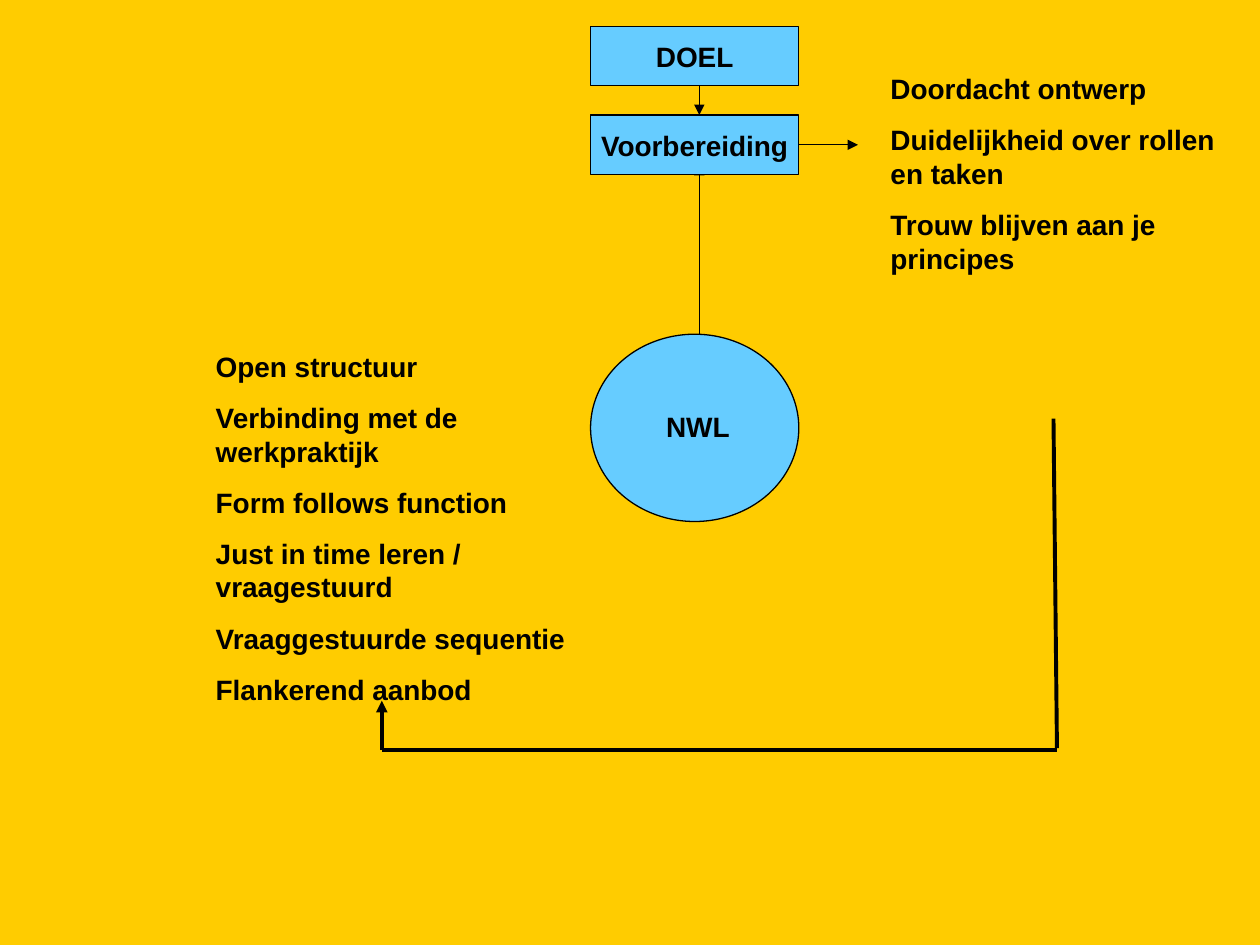
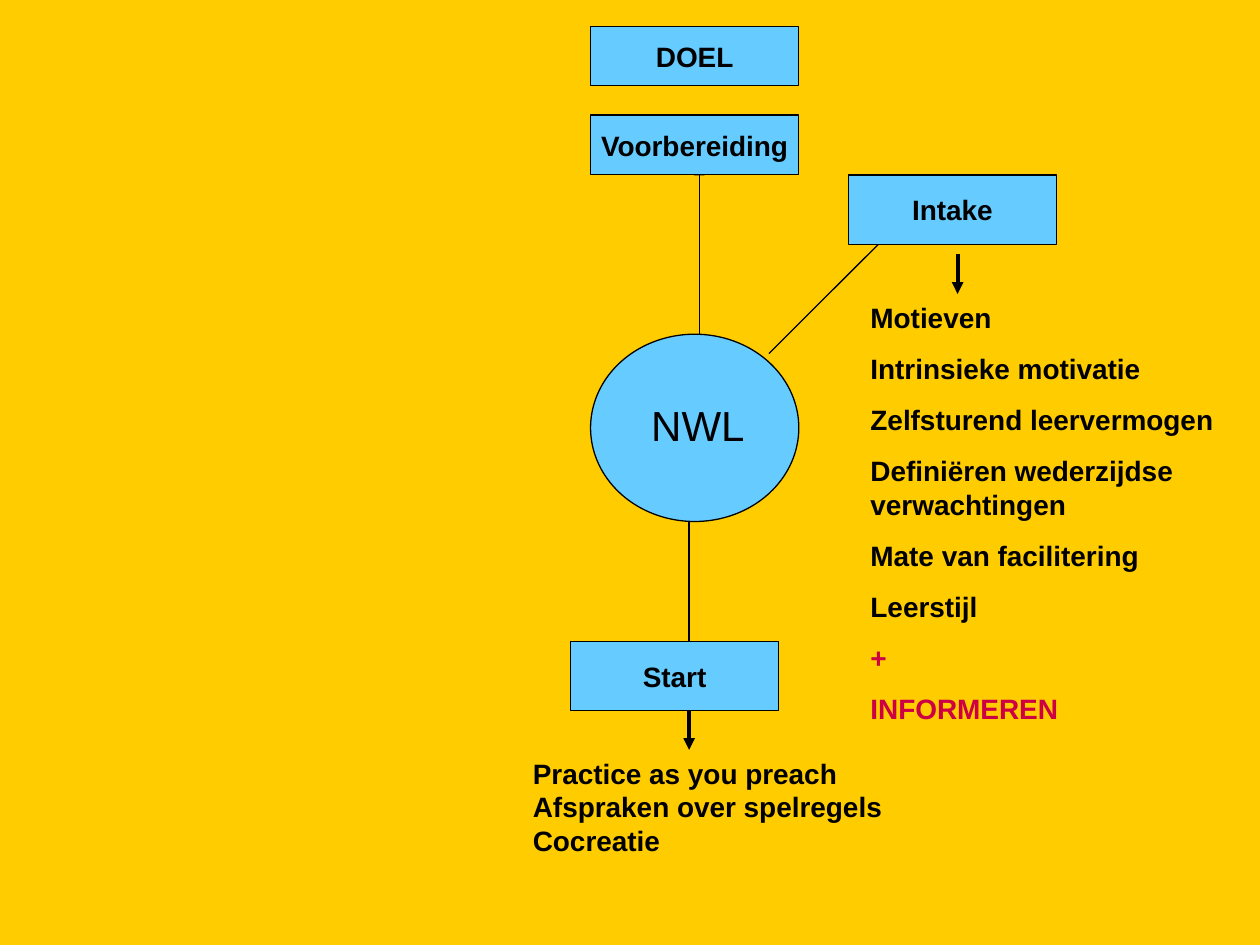
"""Builds two slides that show the stages around the NWL hub."""
from dataclasses import dataclass

from lxml import etree
from pptx import Presentation
from pptx.dml.color import RGBColor
from pptx.enum.shapes import MSO_CONNECTOR as Link, MSO_SHAPE as Preset
from pptx.enum.text import MSO_ANCHOR as Anchor, PP_ALIGN as Align
from pptx.oxml.ns import qn
from pptx.shapes.autoshape import Shape
from pptx.shapes.connector import Connector
from pptx.slide import Slide
from pptx.text.text import TextFrame
from pptx.util import Pt


@dataclass(frozen=True)
class Theme:
    background: RGBColor = RGBColor(0xFF, 0xCC, 0x00)
    stage: RGBColor = RGBColor(0x66, 0xCC, 0xFF)
    ink: RGBColor = RGBColor(0x00, 0x00, 0x00)
    accent: RGBColor = RGBColor(0xCE, 0x00, 0x44)
    font: str = "Arial"
    body: float = 16
    large: float = 24
    gap: float = 10
    thin: float = 0.75
    thick: float = 2.25


THEME = Theme()


@dataclass(frozen=True)
class Box:
    left: float
    top: float
    width: float
    height: float

    def lengths(self) -> tuple[Pt, Pt, Pt, Pt]:
        return Pt(self.left), Pt(self.top), Pt(self.width), Pt(self.height)


@dataclass(frozen=True)
class Stage:
    text: str
    left: float
    top: float
    height: float
    width: float = 119


@dataclass(frozen=True)
class Line:
    start: tuple[float, float]
    end: tuple[float, float]
    weight: float = THEME.thin
    arrow: bool = False


@dataclass(frozen=True)
class Notes:
    box: Box
    items: tuple[str, ...]
    gap: float = THEME.gap
    accented: tuple[str, ...] = ()


HUB = Box(337.5, 191, 119, 107)
STEM_X = 399.6
START_X = 393.8
GOAL = Stage("DOEL", HUB.left, 15, 34)
PREPARATION = Stage("Voorbereiding", HUB.left, 65.75, 34)
INTAKE = Stage("Intake", 484.75, 100, 39.75)
START = Stage("Start", 326, 366.5, 39.75)

DESIGN = Notes(Box(501.8, 37.5, 200, 204), (
    "Doordacht ontwerp",
    "Duidelijkheid over rollen en taken",
    "Trouw blijven aan je principes",
))
STRUCTURE = Notes(Box(116.2, 196.2, 248.4, 240.5), (
    "Open structuur",
    "Verbinding met de werkpraktijk",
    "Form follows function",
    "Just in time leren / vraagestuurd",
    "Vraaggestuurde sequentie",
    "Flankerend aanbod",
))
MOTIVES = Notes(Box(490.3, 168, 229.7, 309), (
    "Motieven",
    "Intrinsieke motivatie",
    "Zelfsturend leervermogen",
    "Definiëren wederzijdse verwachtingen",
    "Mate van facilitering",
    "Leerstijl",
    "+",
    "INFORMEREN",
), accented=("+", "INFORMEREN"))
PRACTICE = Notes(Box(297.4, 428.5, 232.6, 84), (
    "Practice as you preach",
    "Afspraken over spelregels",
    "Cocreatie",
), gap=0)

FEEDBACK = (
    Line((602, 239.2), (604, 427.5), THEME.thick),
    Line((218.2, 428.6), (218.2, 400.4), THEME.thick, arrow=True),
    Line((604, 428.6), (218.2, 428.6), THEME.thick),
)
STAGE_LINKS = (
    Line((547.2, 145.3), (547.2, 168), THEME.thick, arrow=True),
    Line((501.8, 139.75), (439.4, 202)),
    Line((START_X, 298), (START_X, START.top)),
    Line((START_X, 406.25), (START_X, 428.5), THEME.thick, arrow=True),
)


def write(frame: TextFrame, items: tuple[str, ...], align: Align = Align.LEFT,
          size: float = THEME.body, bold: bool = True, gap: float = 0,
          accented: tuple[str, ...] = ()) -> None:
    """Fill a frame with one paragraph per item."""
    for index, item in enumerate(items):
        paragraph = frame.add_paragraph() if index else frame.paragraphs[0]
        paragraph.text = item
        paragraph.alignment = align
        paragraph.space_before = Pt(gap if index else 0)
        font = paragraph.font
        font.name, font.size, font.bold = THEME.font, Pt(size), bold
        font.color.rgb = THEME.accent if item in accented else THEME.ink


def add_outlined(slide: Slide, preset: Preset, box: Box) -> Shape:
    """Draw a blue shape with a thin outline."""
    shape = slide.shapes.add_shape(preset, *box.lengths())
    shape.shadow.inherit = False
    shape.fill.solid()
    shape.fill.fore_color.rgb = THEME.stage
    shape.line.color.rgb = THEME.ink
    shape.line.width = Pt(THEME.thin)
    return shape


def add_stage(slide: Slide, stage: Stage) -> Shape:
    """Draw a named stage of the process."""
    shape = add_outlined(slide, Preset.RECTANGLE,
                         Box(stage.left, stage.top, stage.width, stage.height))
    shape.text_frame.word_wrap = False
    shape.text_frame.vertical_anchor = Anchor.MIDDLE
    write(shape.text_frame, (stage.text,), Align.CENTER)
    return shape


def add_line(slide: Slide, line: Line) -> Connector:
    """Draw a straight line, with an arrowhead at its end if asked."""
    connector = slide.shapes.add_connector(
        Link.STRAIGHT, *(Pt(value) for value in line.start + line.end))
    connector.line.color.rgb = THEME.ink
    connector.line.width = Pt(line.weight)
    if line.arrow:
        etree.SubElement(connector.line._get_or_add_ln(), qn("a:tailEnd"), type="triangle")
    etree.SubElement(connector._element.spPr, qn("a:effectLst"))
    return connector


def add_text_frame(slide: Slide, box: Box) -> TextFrame:
    """Add a wrapping text box and return its frame."""
    frame = slide.shapes.add_textbox(*box.lengths()).text_frame
    frame.word_wrap = True
    return frame


def add_notes(slide: Slide, notes: Notes) -> None:
    """Write the remarks that belong to a stage."""
    write(add_text_frame(slide, notes.box), notes.items, gap=notes.gap, accented=notes.accented)


def add_process_slide(deck: Presentation, hub_label: Box, hub_size: float,
                      hub_bold: bool) -> tuple[Slide, Shape]:
    """Add a slide with the hub and first stages; return it with the preparation."""
    slide = deck.slides.add_slide(deck.slide_layouts[6])
    slide.background.fill.solid()
    slide.background.fill.fore_color.rgb = THEME.background
    add_outlined(slide, Preset.OVAL, HUB)
    write(add_text_frame(slide, hub_label), ("NWL",), Align.CENTER, hub_size, hub_bold)
    add_line(slide, Line((STEM_X, HUB.top), (STEM_X, 94.3), arrow=True))
    preparation = add_stage(slide, PREPARATION)
    add_stage(slide, GOAL)
    return slide, preparation


def add_preparation_slide(deck: Presentation) -> None:
    """Show what the preparation asks for and how it feeds the structure."""
    slide, preparation = add_process_slide(deck, Box(327.8, 230.4, 142, 26.6), THEME.body, True)
    middle = PREPARATION.top + PREPARATION.height / 2
    to_design = add_line(slide, Line((HUB.left + HUB.width, middle), (490.3, middle), arrow=True))
    to_design.begin_connect(preparation, 3)
    for notes in (DESIGN, STRUCTURE):
        add_notes(slide, notes)
    goal_bottom = GOAL.top + GOAL.height
    goal_link = Line((STEM_X, goal_bottom), (STEM_X, PREPARATION.top), arrow=True)
    for line in (*FEEDBACK, goal_link):
        add_line(slide, line)


def add_intake_slide(deck: Presentation) -> None:
    """Show the intake and the start with their remarks."""
    slide, _ = add_process_slide(deck, Box(327.8, 224.6, 142, 36), THEME.large, False)
    for stage in (INTAKE, START):
        add_stage(slide, stage)
    for notes in (MOTIVES, PRACTICE):
        add_notes(slide, notes)
    for line in STAGE_LINKS:
        add_line(slide, line)


def main() -> None:
    """Build and save the deck."""
    deck = Presentation()
    deck.slide_width, deck.slide_height = Pt(720), Pt(540)
    add_preparation_slide(deck)
    add_intake_slide(deck)
    deck.save("out.pptx")


if __name__ == "__main__":
    main()
